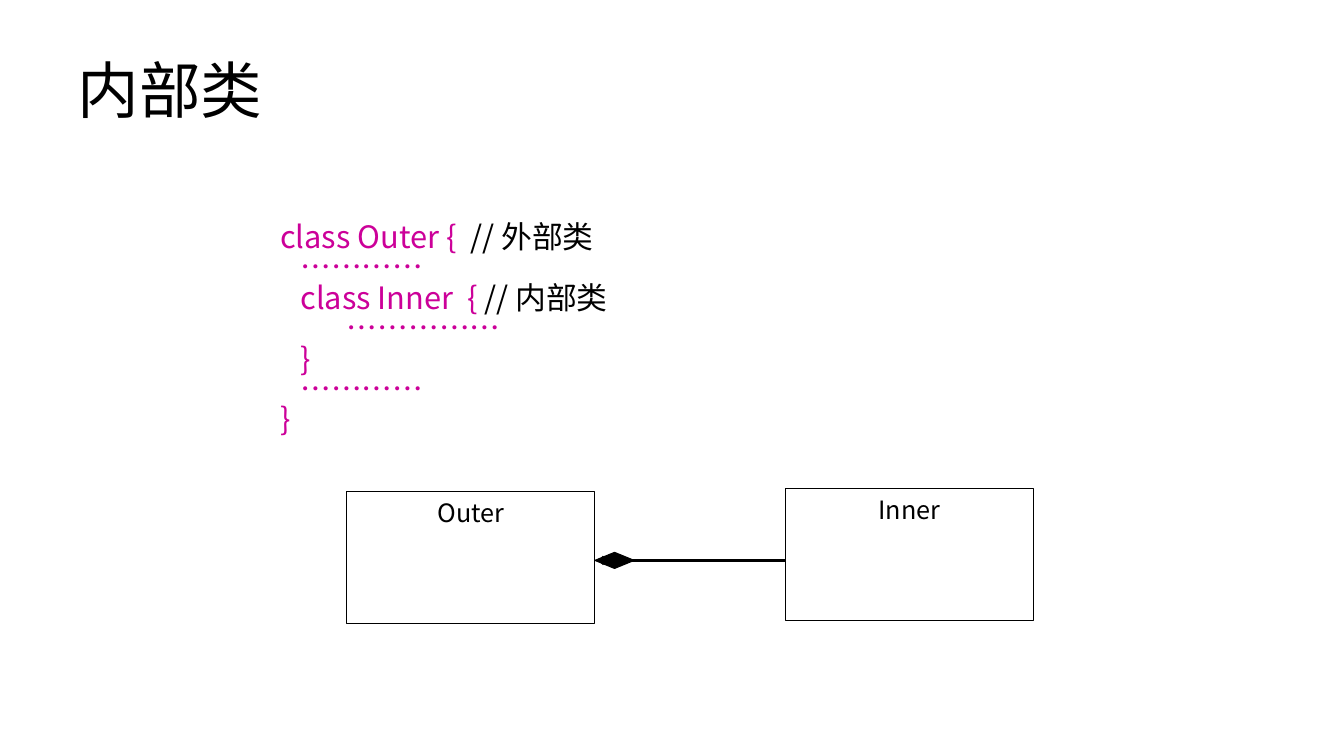
from dataclasses import dataclass

from pptx import Presentation
from pptx.dml.color import RGBColor
from pptx.enum import shapes, text
from pptx.oxml import ns, xmlchemy
from pptx.util import Inches, Pt


@dataclass(frozen=True)
class Theme:
    font: str = "Noto Sans CJK SC"
    ink: RGBColor = RGBColor(0x00, 0x00, 0x00)
    code: RGBColor = RGBColor(0xCC, 0x00, 0x99)
    title_size: int = 44
    code_size: int = 22
    label_size: int = 18
    outline: float = 0.75
    link: float = 2.25


THEME = Theme()

# Code listing: indent in inches, code, comment
CODE_LEFT = 0.5
LISTING = [
    (0, "class Outer {  ", "// 外部类"),
    (0.2, "…………", ""),
    (0.2, "class Inner  { ", "// 内部类"),
    (0.66, "……………", ""),
    (0.2, "}", ""),
    (0.2, "…………", ""),
    (0, "}", ""),
]


def add_child(parent, tag, **attributes):
    child = xmlchemy.OxmlElement(tag)
    for name, value in attributes.items():
        child.set(name, value)
    parent.append(child)


def add_span(para, words, size, color):
    span = para.add_run()
    span.text = words
    span.font.size = Pt(size)
    span.font.color.rgb = color
    span.font.name = THEME.font
    add_child(span.font._element, "a:ea", typeface=THEME.font)


def place(shape, left, top, width, height):
    shape.left, shape.top = Inches(left), Inches(top)
    shape.width, shape.height = Inches(width), Inches(height)


def fill_title(title, words):
    place(title, 0.67, 0.3, 12, 1.25)
    title.text_frame.vertical_anchor = text.MSO_ANCHOR.MIDDLE
    para = title.text_frame.paragraphs[0]
    para.alignment = text.PP_ALIGN.LEFT
    para.line_spacing = 0.9
    add_span(para, words, THEME.title_size, THEME.ink)


def fill_listing(body):
    place(body, 2.18, 2.18, 9.06, 4.55)
    frame = body.text_frame
    frame.auto_size = text.MSO_AUTO_SIZE.NONE
    for number, (indent, code, comment) in enumerate(LISTING):
        para = frame.add_paragraph() if number else frame.paragraphs[0]
        para.level = 1
        para.line_spacing = 0.8
        para.space_before = Pt(0.6)
        properties = para._p.get_or_add_pPr()
        properties.set("marL", str(Inches(CODE_LEFT + indent)))
        properties.set("indent", "0")
        add_child(properties, "a:buNone")
        add_span(para, code, THEME.code_size, THEME.code)
        if comment:
            add_span(para, comment, THEME.code_size, THEME.ink)


def add_outlined(group, kind, left, top, width, height):
    shape = group.shapes.add_shape(
        kind, Inches(left), Inches(top), Inches(width), Inches(height))
    shape.shadow.inherit = False
    shape.line.color.rgb = THEME.ink
    shape.line.width = Pt(THEME.outline)
    return shape


def add_class_box(group, name, left, top):
    box = add_outlined(group, shapes.MSO_SHAPE.RECTANGLE, left, top, 2.46, 1.31)
    box.fill.background()
    box.text_frame.vertical_anchor = text.MSO_ANCHOR.TOP
    para = box.text_frame.paragraphs[0]
    para.alignment = text.PP_ALIGN.CENTER
    add_span(para, name, THEME.label_size, THEME.ink)


def add_composition(group, start, end, y):
    link = group.shapes.add_connector(
        shapes.MSO_CONNECTOR.STRAIGHT,
        Inches(start), Inches(y), Inches(end + 0.08), Inches(y))
    link.line.color.rgb = THEME.ink
    link.line.width = Pt(THEME.link)
    properties = link._element.spPr
    add_child(properties.find(ns.qn("a:ln")), "a:tailEnd", type="diamond")
    add_child(properties, "a:effectLst")

    diamond = add_outlined(
        group, shapes.MSO_SHAPE.DIAMOND, end, y - 0.08, 0.39, 0.16)
    diamond.fill.solid()
    diamond.fill.fore_color.rgb = THEME.ink


def main():
    deck = Presentation()
    deck.slide_width, deck.slide_height = Inches(13.33), Inches(7.5)
    page = deck.slides.add_slide(deck.slide_layouts[1])

    # Title and code
    fill_title(page.shapes.title, "内部类")
    fill_listing(page.placeholders[1])

    # Class diagram
    diagram = page.shapes.add_group_shape()
    add_class_box(diagram, "Outer", 3.44, 4.88)
    add_class_box(diagram, "Inner", 7.79, 4.85)
    add_composition(diagram, 7.79, 5.9, 5.56)

    deck.save("out.pptx")


main()
